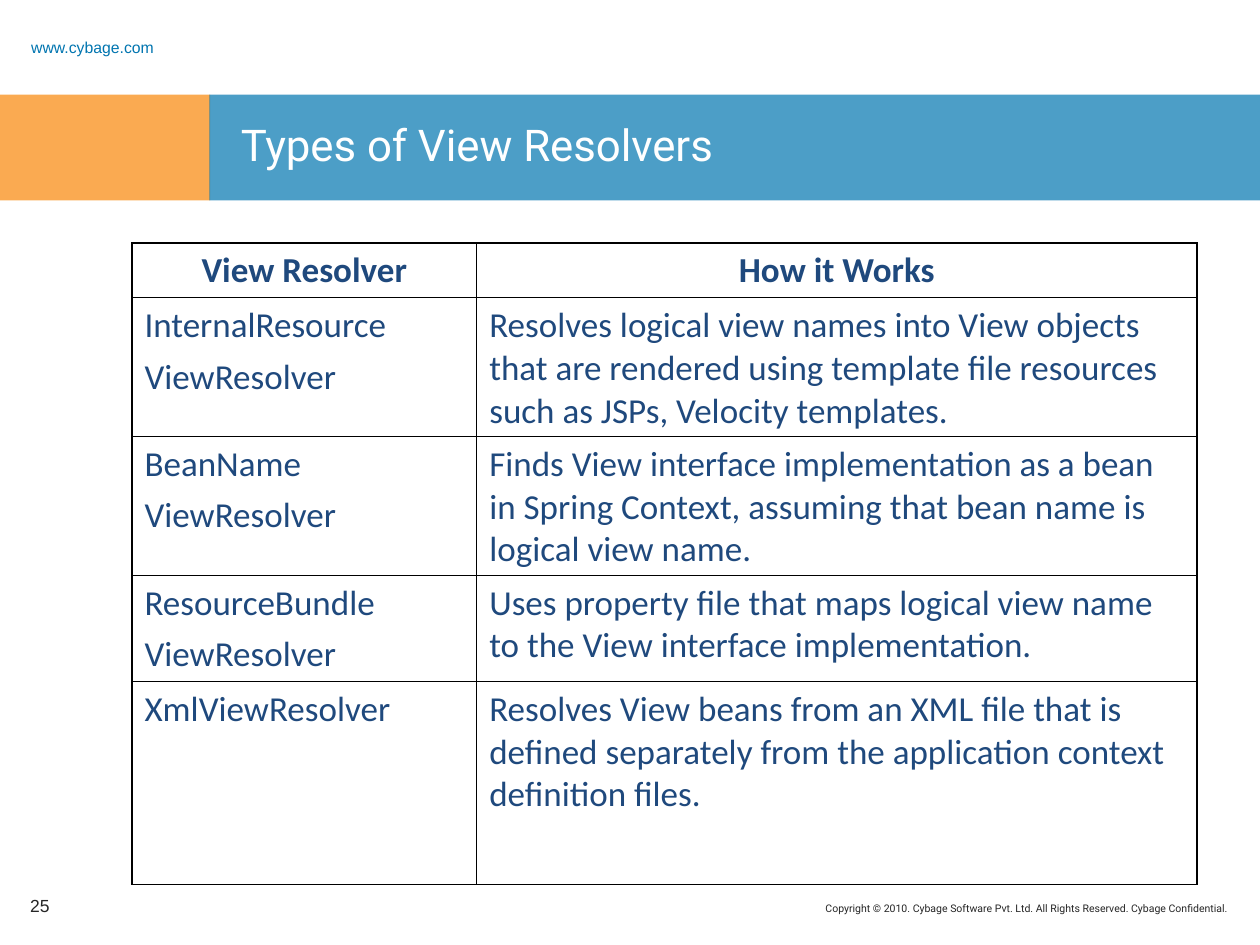
from lxml import etree
from pptx import Presentation
from pptx.dml.color import RGBColor
from pptx.enum.shapes import MSO_SHAPE
from pptx.enum.text import MSO_ANCHOR, MSO_AUTO_SIZE, PP_ALIGN
from pptx.oxml.ns import qn
from pptx.util import Cm, Pt

RECTANGLE = MSO_SHAPE.RECTANGLE
TOP, MIDDLE = MSO_ANCHOR.TOP, MSO_ANCHOR.MIDDLE
LEFT, CENTER, RIGHT = PP_ALIGN.LEFT, PP_ALIGN.CENTER, PP_ALIGN.RIGHT
NO_AUTOFIT = MSO_AUTO_SIZE.NONE

ORANGE, BLUE, NAVY = "F88608", "0075B0", "1F497D"
WHITE, BLACK, DARK = "FFFFFF", "000000", "262626"
OUTER, INNER = Pt(1.08), Pt(0.45)


def format_paragraph(paragraph, font_name, size, color, align=LEFT):
    paragraph.alignment = align
    paragraph.font.name = font_name
    paragraph.font.size = Pt(size)
    paragraph.font.color.rgb = RGBColor.from_string(color)


def add_border(cell, side, width):
    line = etree.SubElement(cell._tc.get_or_add_tcPr(), qn(f"a:ln{side}"), w=str(width))
    fill = etree.SubElement(line, qn("a:solidFill"))
    etree.SubElement(fill, qn("a:srgbClr"), val=BLACK)


prs = Presentation()
prs.slide_width, prs.slide_height = Cm(25.4), Cm(19.05)
slide = prs.slides.add_slide(prs.slide_layouts[5])

# Translucent title band
for left, width, color in [(0, 4.24, ORANGE), (4.22, 21.18, BLUE)]:
    band = slide.shapes.add_shape(RECTANGLE, Cm(left), Cm(1.91), Cm(width), Cm(2.13))
    band.shadow.inherit = False
    band.line.fill.background()
    band.fill.solid()
    band.fill.fore_color.rgb = RGBColor.from_string(color)
    band_color = band.fill._xPr.find(".//" + qn("a:srgbClr"))
    etree.SubElement(band_color, qn("a:alpha"), val="70000")

# Title, moved in front of the band
title = slide.shapes.title
slide.shapes._spTree.append(title._element)
title.left, title.top, title.width, title.height = Cm(4.6), Cm(2.24), Cm(20.17), Cm(1.57)
title.text_frame.text = "Types of View Resolvers"
title.text_frame.auto_size = NO_AUTOFIT
title.text_frame.vertical_anchor = TOP
format_paragraph(title.text_frame.paragraphs[0], "Roboto", 25, WHITE)

# Web address, page number and copyright line
margin_texts = [
    ("www.cybage.com", (0.38, 0.61, 3.81, 0.48), "Arial", 9, BLUE, LEFT, MIDDLE, 1.5),
    ("25", (0.36, 17.75, 1.37, 1.02), "Arial", 10, DARK, LEFT, MIDDLE, 1),
    ("Copyright © 2010. Cybage Software Pvt. Ltd. All Rights Reserved. Cybage Confidential.",
     (10.36, 18.06, 14.63, 0.66), "Roboto", 6, DARK, RIGHT, TOP, 1),
]
for text, place, font_name, size, color, align, anchor, spacing in margin_texts:
    frame = slide.shapes.add_textbox(*map(Cm, place)).text_frame
    frame.word_wrap = True
    frame.vertical_anchor = anchor
    frame.text = text
    frame.paragraphs[0].line_spacing = spacing
    format_paragraph(frame.paragraphs[0], font_name, size, color, align)

# Resolver table
resolvers = [
    ("View Resolver", "How it Works"),
    ("InternalResource\nViewResolver",
     "Resolves logical view names into View objects that are rendered using template "
     "file resources such as JSPs, Velocity templates."),
    ("BeanName\nViewResolver",
     "Finds View interface implementation as a bean in Spring Context, assuming that "
     "bean name is logical view name."),
    ("ResourceBundle\nViewResolver",
     "Uses property file that maps logical view name to the View interface implementation."),
    ("XmlViewResolver",
     "Resolves View beans from an XML file that is defined separately from the "
     "application context definition files."),
]
column_widths = [6.95, 14.52]
row_heights = [1.1, 2.8, 2.8, 2.14, 4.09]
table = slide.shapes.add_table(
    len(row_heights), len(column_widths), Cm(2.66), Cm(4.9),
    Cm(sum(column_widths)), Cm(sum(row_heights))).table
table.first_row = table.horz_banding = False
for column, width in zip(table.columns, column_widths):
    column.width = Cm(width)
for row, height in zip(table.rows, row_heights):
    row.height = Cm(height)

last_row, last_column = len(row_heights) - 1, len(column_widths) - 1
for r, row_texts in enumerate(resolvers):
    for c, text in enumerate(row_texts):
        cell = table.cell(r, c)
        cell.text = text
        for side, at_edge in [("L", c == 0), ("R", c == last_column),
                              ("T", r == 0), ("B", r == last_row)]:
            add_border(cell, side, OUTER if at_edge else INNER)
        cell.fill.background()
        for i, paragraph in enumerate(cell.text_frame.paragraphs):
            format_paragraph(paragraph, "Calibri", 20, NAVY, CENTER if r == 0 else LEFT)
            paragraph.font.bold = r == 0
            if i > 0:
                paragraph.space_before = Pt(5)

prs.save("out.pptx")
